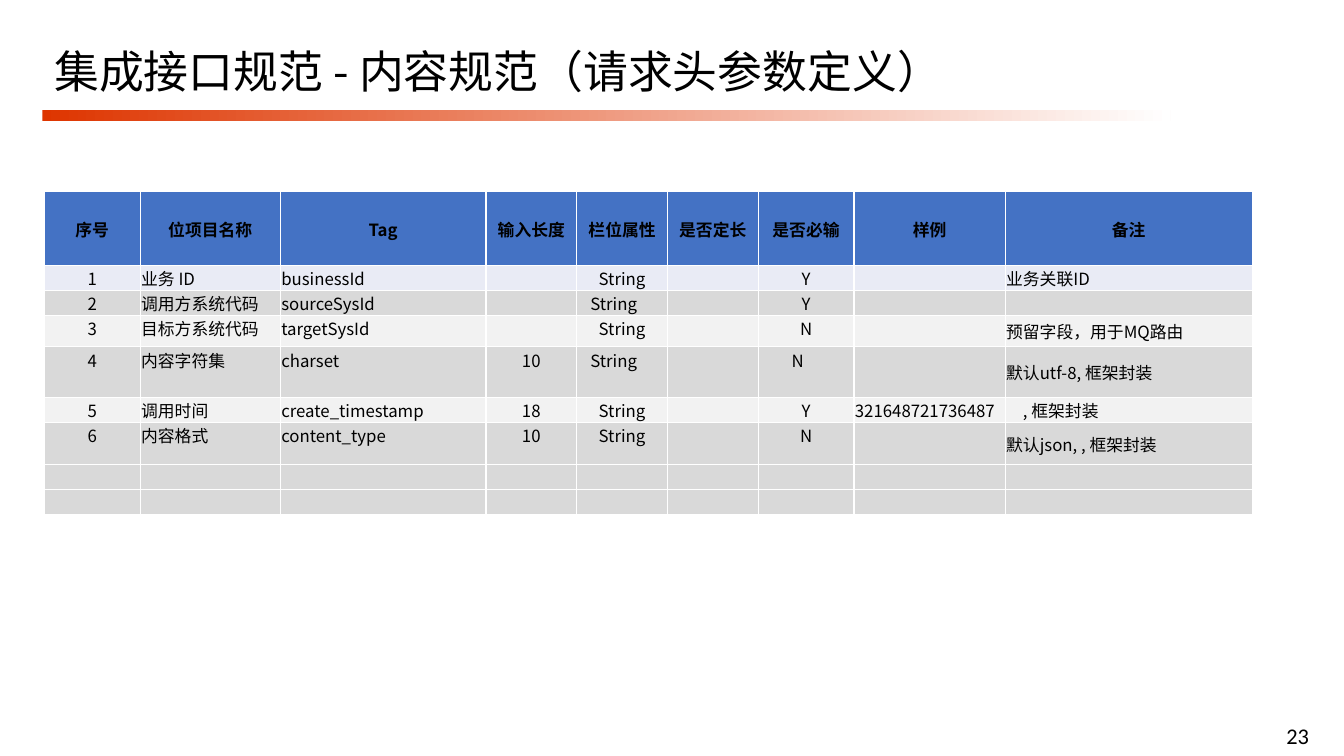
from lxml import etree
from pptx import Presentation
from pptx.dml.color import RGBColor
from pptx.enum import shapes, text
from pptx.oxml import ns
from pptx.util import Inches, Pt

BLACK = RGBColor(0x00, 0x00, 0x00)
WHITE = RGBColor(0xFF, 0xFF, 0xFF)
RED = RGBColor(0xDE, 0x35, 0x00)
BLUE = RGBColor(0x44, 0x72, 0xC4)
PALE_BLUE = RGBColor(0xE9, 0xEB, 0xF5)
GREY = RGBColor(0xD9, 0xD9, 0xD9)
PALE_GREY = RGBColor(0xF2, 0xF2, 0xF2)
CJK_FONT = "Noto Sans CJK SC"
CENTER, LEFT = text.PP_ALIGN.CENTER, text.PP_ALIGN.LEFT
MIDDLE, TOP = text.MSO_ANCHOR.MIDDLE, text.MSO_ANCHOR.TOP


def write(frame, words, size, font_name, align, bold=False):
    paragraph = frame.paragraphs[0]
    paragraph.text = words
    paragraph.alignment = align
    font = paragraph.font
    font.size, font.name, font.bold = Pt(size), font_name, bold
    font.color.rgb = BLACK
    properties = paragraph._p.pPr.find(ns.qn("a:defRPr"))
    etree.SubElement(properties, ns.qn("a:ea"), typeface=font_name)
    if not words:  # keeps empty rows at their set height
        etree.SubElement(paragraph._p, ns.qn("a:endParaRPr"), sz=str(size * 100))


def add_text(left, top, width, height, words, size, font_name, align):
    frame = slide.shapes.add_textbox(
        Inches(left), Inches(top), Inches(width), Inches(height)).text_frame
    frame.word_wrap = True
    frame.vertical_anchor = MIDDLE
    write(frame, words, size, font_name, align)
    return frame


presentation = Presentation()
presentation.slide_width, presentation.slide_height = Inches(13.33), Inches(7.5)
slide = presentation.slides.add_slide(presentation.slide_layouts[6])

# Page number, title and the fading bar under it
add_text(12.4, 7.11, 0.94, 0.37, "23", 16, "Calibri", CENTER)
bar = slide.shapes.add_shape(shapes.MSO_SHAPE.RECTANGLE, Inches(0.42),
                             Inches(1.09), Inches(11.19), Inches(0.11))
bar.shadow.inherit = False
bar.line.fill.background()
bar.fill.gradient()
bar.fill.gradient_angle = 0
for stop, color in zip(bar.fill.gradient_stops, (RED, WHITE)):
    stop.color.rgb = color
title = add_text(0.44, 0.31, 9.48, 0.84, "集成接口规范 - 内容规范（请求头参数定义）",
                 32, CJK_FONT, LEFT)
title.paragraphs[0].line_spacing = 0.9

# Request header parameters
headings = ["序号", "位项目名称", "Tag", "输入长度", "栏位属性", "是否定长",
            "是否必输", "样例", "备注"]
parameters = [
    ["1", "业务 ID", "businessId", "", "String", "", "Y", "", "业务关联ID"],
    ["2", "调用方系统代码", "sourceSysId", "", "String\u3000", "", "Y", "", ""],
    ["3", "目标方系统代码", "targetSysId", "", "String", "", "N", "",
     "预留字段，用于MQ路由"],
    ["4", "内容字符集", "charset", "10", "String\u3000", "", "N\u3000", "",
     "默认utf-8, 框架封装"],
    ["5", "调用时间", "create_timestamp", "18", "String", "", "Y",
     "321648721736487", "\u3000, 框架封装"],
    ["6", "内容格式", "content_type", "10", "String", "", "N", "",
     "默认json, , 框架封装"],
]
empty_rows = [[""] * len(headings)] * 2
rows = [headings] + parameters + empty_rows
column_widths = [0.95, 1.39, 2.04, 0.9, 0.9, 0.9, 0.95, 1.5, 2.45]
row_heights = [0.73, 0.25, 0.25, 0.31, 0.5, 0.25, 0.42, 0.25, 0.25]
row_fills = [BLUE, PALE_BLUE, GREY, PALE_GREY, GREY, PALE_GREY, GREY, GREY, GREY]
left_columns = {headings.index(h) for h in ("位项目名称", "Tag", "样例", "备注")}
remarks = headings.index("备注")

table = slide.shapes.add_table(
    len(rows), len(headings), Inches(0.44), Inches(1.9),
    Inches(sum(column_widths)), Inches(sum(row_heights))).table
for column, width in zip(table.columns, column_widths):
    column.width = Inches(width)

for r, (row, height, row_fill) in enumerate(zip(rows, row_heights, row_fills)):
    table.rows[r].height = Inches(height)
    for c, words in enumerate(row):
        cell = table.cell(r, c)
        is_heading = r == 0
        cell.margin_left = cell.margin_right = cell.margin_top = Inches(0.01)
        cell.margin_bottom = 0
        cell.vertical_anchor = MIDDLE if is_heading or c == remarks else TOP
        align = LEFT if c in left_columns and not is_heading else CENTER
        write(cell.text_frame, words, 12, CJK_FONT, align, is_heading)

        # White borders come before the fill in the cell properties
        for side in ("lnL", "lnR", "lnT", "lnB"):
            border = etree.SubElement(cell._tc.tcPr, ns.qn("a:" + side),
                                      w=str(Pt(1)))
            solid = etree.SubElement(border, ns.qn("a:solidFill"))
            etree.SubElement(solid, ns.qn("a:srgbClr"), val=str(WHITE))
        cell.fill.solid()
        cell.fill.fore_color.rgb = row_fill
        borders = [e for e in cell._tc.tcPr if e.tag.startswith(ns.qn("a:ln"))]
        for position, border in enumerate(borders):
            cell._tc.tcPr.insert(position, border)

presentation.save("out.pptx")
